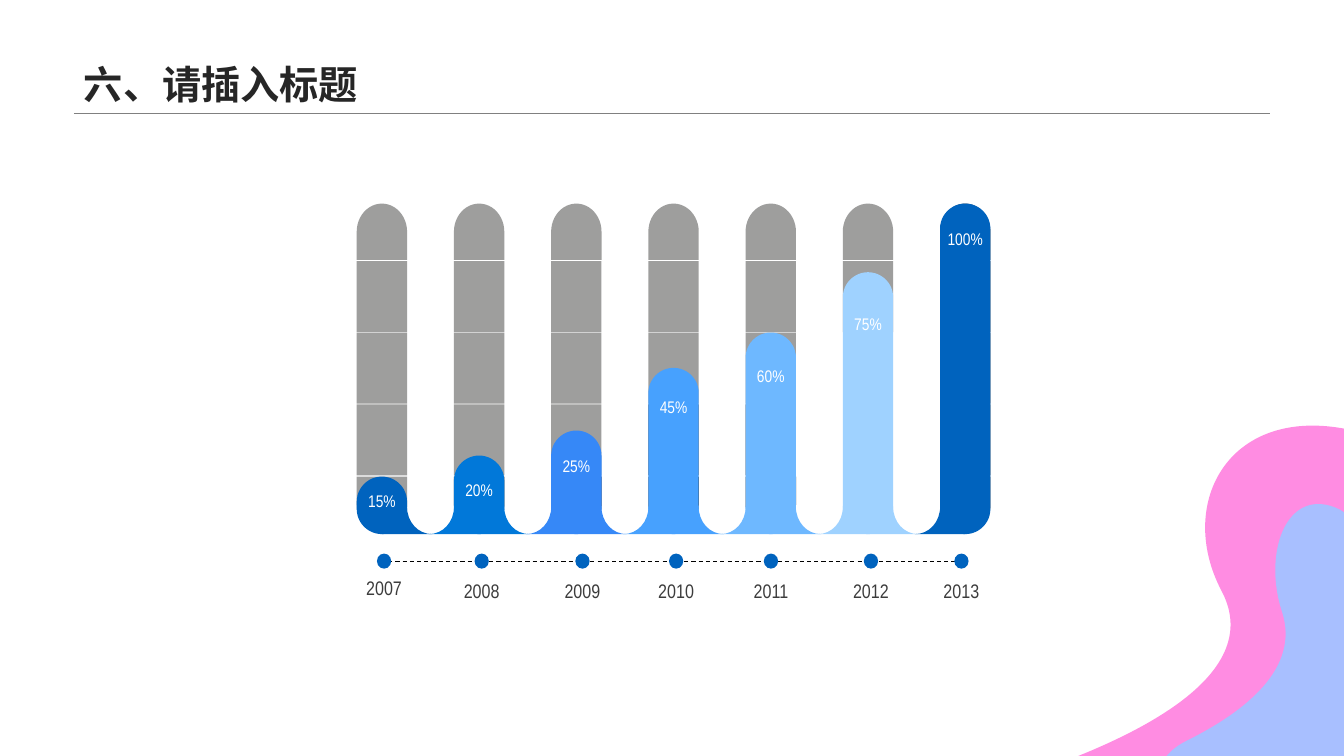
"""Build a slide with a seven-year column graphic over a dotted timeline."""
import lxml.etree
import pptx
import pptx.dml.color
import pptx.enum.dml
import pptx.enum.shapes
import pptx.enum.text
import pptx.oxml.ns
import pptx.util

Cm = pptx.util.Cm
RGBColor = pptx.dml.color.RGBColor
SHAPES = pptx.enum.shapes.MSO_SHAPE
ALIGN = pptx.enum.text.PP_ALIGN
ANCHOR = pptx.enum.text.MSO_ANCHOR
qn = pptx.oxml.ns.qn

WHITE = RGBColor(0xFF, 0xFF, 0xFF)
BLACK = RGBColor(0x00, 0x00, 0x00)
TITLE_INK = RGBColor(0x26, 0x26, 0x26)
YEAR_INK = RGBColor(0x3C, 0x3C, 0x3C)
RULE_GREY = RGBColor(0x80, 0x80, 0x80)
TRACK_GREY = RGBColor(0x3E, 0x3E, 0x3D)
DEEP_BLUE = RGBColor(0x00, 0x63, 0xBE)
BLUE = RGBColor(0x01, 0x78, 0xD9)
ROYAL_BLUE = RGBColor(0x36, 0x88, 0xF7)
BRIGHT_BLUE = RGBColor(0x47, 0xA1, 0xFE)
SKY_BLUE = RGBColor(0x6E, 0xB8, 0xFF)
PALE_BLUE = RGBColor(0x9F, 0xD2, 0xFF)
PINK = RGBColor(0xFF, 0x33, 0xCC)
LAVENDER = RGBColor(0xA8, 0xBF, 0xFF)

FIRST_LEFT, COLUMN_PITCH, COLUMN_WIDTH = 8.99, 2.45, 1.27
TRACK_TOP, BASE = 5.13, 13.46
CAP_LENGTH, LOWER_CAP_TOP = 1.42, 12.01
SEGMENT_TOPS, SEGMENT_HEIGHT = (6.58, 8.38, 10.19), 1.79
FLARE_TOP = 12.75
AXIS_Y = 14.15

YEARS = ["2007", "2008", "2009", "2010", "2011", "2012", "2013"]
YEAR_CENTERS = [9.68, 12.14, 14.68, 17.04, 19.43, 21.95, 24.23]
YEAR_TOPS = [14.4] + [14.46] * 6

# share, colour, bar top, label top, label width, full-length track
COLUMNS = [
    ("15%", DEEP_BLUE, 12.01, 12.24, 1.68, True),
    ("20%", BLUE, 11.48, 11.96, 1.65, True),
    ("25%", ROYAL_BLUE, 10.85, 11.35, 1.83, True),
    ("45%", BRIGHT_BLUE, 9.27, 9.88, 1.65, True),
    ("60%", SKY_BLUE, 8.38, 9.09, 1.88, True),
    ("75%", PALE_BLUE, 6.86, 7.79, 1.65, False),
    ("100%", DEEP_BLUE, 5.13, 5.64, 2.2, True),
]
PINK_WAVE = [
    (22.89, 21.46), (22.89, 20.96), (23.32, 20.29), (24.74, 19.89),
    (28.5, 18.77), (31.95, 17.07), (30.78, 14.88),
    (29.62, 12.67), (30.99, 10.13), (34.11, 10.85),
    (34.98, 11.02), (35.69, 11.56), (36.27, 12.19),
]
LAVENDER_WAVE = [
    (29.18, 19.69), (29.16, 19.35), (29.34, 18.95), (29.9, 18.67),
    (31.39, 17.93), (32.77, 16.84), (32.31, 15.42),
    (31.83, 13.97), (32.39, 12.32), (33.63, 12.78),
    (33.96, 12.9), (34.24, 13.23), (34.49, 13.67),
]


def paint(shape, color, opacity=100):
    shape.shadow.inherit = False
    shape.fill.solid()
    shape.fill.fore_color.rgb = color
    shape.line.fill.background()
    if opacity < 100:
        tint = shape.element.spPr.find(qn("a:solidFill"))[0]
        lxml.etree.SubElement(tint, qn("a:alpha"), val=str(opacity * 1000))


def add_block(slide, kind, left, top, width, height, color, opacity=100):
    block = slide.shapes.add_shape(kind, Cm(left), Cm(top), Cm(width), Cm(height))
    paint(block, color, opacity)
    return block


def add_curved_outline(slide, knots, corners, color, opacity=100):
    points = [(Cm(x), Cm(y)) for x, y in knots + corners]
    builder = slide.shapes.build_freeform(*points[0])
    builder.add_line_segments(points[1:], close=True)
    outline = builder.convert_to_shape()
    strokes = list(outline.element.spPr.iter(qn("a:lnTo")))
    for first in range(0, len(knots) - 1, 3):
        curve = strokes[first]
        curve.tag = qn("a:cubicBezTo")
        for stroke in strokes[first + 1:first + 3]:
            curve.append(stroke[0])
            stroke.getparent().remove(stroke)
    paint(outline, color, opacity)


def add_line(slide, start, end, color, weight, dash=None):
    line = slide.shapes.add_connector(
        pptx.enum.shapes.MSO_CONNECTOR.STRAIGHT, *map(Cm, start + end))
    line.line.color.rgb = color
    line.line.width = pptx.util.Pt(weight)
    if dash:
        line.line.dash_style = dash
    lxml.etree.SubElement(line.element.spPr, qn("a:effectLst"))


def write(frame, text, size, color, font="Arial Narrow", bold=False,
          align=ALIGN.CENTER, anchor=ANCHOR.TOP, spacing=None):
    frame.word_wrap = True
    frame.vertical_anchor = anchor
    paragraph = frame.paragraphs[0]
    paragraph.alignment = align
    paragraph.line_spacing = spacing
    run = paragraph.add_run()
    run.text = text
    run.font.size = pptx.util.Pt(size)
    run.font.name = font
    run.font.bold = bold
    run.font.color.rgb = color


def add_caption(slide, text, center, top, width, height, **style):
    caption = slide.shapes.add_textbox(
        Cm(center - width / 2), Cm(top), Cm(width), Cm(height))
    caption.text_frame.auto_size = pptx.enum.text.MSO_AUTO_SIZE.SHAPE_TO_FIT_TEXT
    write(caption.text_frame, text, **style)


def add_wave(slide, knots, color, opacity=100):
    add_curved_outline(slide, knots, [(knots[-1][0], knots[0][1])], color, opacity)


def add_flare(slide, center, side, color):
    near, bend, far = (center + side * reach for reach in (0.63, 0.91, 1.27))
    knots = [(near, FLARE_TOP), (near, 13.16), (bend, BASE), (far, BASE)]
    add_curved_outline(slide, knots, [(center, BASE), (center, FLARE_TOP)], color)


def add_track_cap(slide, center, top, rotation, opacity):
    cap = add_block(slide, SHAPES.FLOWCHART_DELAY, center - CAP_LENGTH / 2,
                    top + (CAP_LENGTH - COLUMN_WIDTH) / 2,
                    CAP_LENGTH, COLUMN_WIDTH, TRACK_GREY, opacity)
    cap.rotation = rotation


def add_track(slide, left, bar_top, full_length):
    center = left + COLUMN_WIDTH / 2
    add_track_cap(slide, center, TRACK_TOP, 270, 50 if TRACK_TOP < bar_top else 100)
    for top in SEGMENT_TOPS if full_length else SEGMENT_TOPS[:1]:
        add_block(slide, SHAPES.RECTANGLE, left, top, COLUMN_WIDTH, SEGMENT_HEIGHT,
                  TRACK_GREY, 50 if top <= bar_top else 100)
    if full_length:
        add_track_cap(slide, center, LOWER_CAP_TOP, 90,
                      50 if LOWER_CAP_TOP <= bar_top else 100)


def add_column(slide, index, share, color, bar_top, label_top, label_width, full_length):
    left = FIRST_LEFT + index * COLUMN_PITCH
    center = left + COLUMN_WIDTH / 2
    add_track(slide, left, bar_top, full_length)
    if index < len(COLUMNS) - 1:
        add_flare(slide, center, 1, color)
    if index > 0:
        add_flare(slide, center, -1, color)
    bar = add_block(slide, SHAPES.ROUNDED_RECTANGLE, left, bar_top,
                    COLUMN_WIDTH, BASE - bar_top, color)
    bar.adjustments[0] = 0.5
    add_caption(slide, share, center, label_top, label_width, 0.76, size=12, color=WHITE)


def add_title(slide, text):
    title = slide.shapes.title
    title.left, title.top, title.width, title.height = map(Cm, (1.86, 0, 30.14, 2.84))
    write(title.text_frame, text, size=28, color=TITLE_INK, font="Arial", bold=True,
          align=ALIGN.LEFT, anchor=ANCHOR.BOTTOM, spacing=0.9)
    add_line(slide, (1.86, 2.84), (32, 2.84), RULE_GREY, 0.25)


def main():
    deck = pptx.Presentation()
    deck.slide_width, deck.slide_height = Cm(33.87), Cm(19.05)
    slide = deck.slides.add_slide(deck.slide_layouts[5])
    add_title(slide, "六、请插入标题")
    for index, column in enumerate(COLUMNS):
        add_column(slide, index, *column)
    add_line(slide, (9.6, AXIS_Y), (24.31, AXIS_Y), BLACK, 0.75,
             pptx.enum.dml.MSO_LINE.DASH)
    for year, center, top in zip(YEARS, YEAR_CENTERS, YEAR_TOPS):
        add_block(slide, SHAPES.OVAL, center - 0.18, AXIS_Y - 0.2, 0.36, 0.38, DEEP_BLUE)
        add_caption(slide, year, center, top, 2.13, 0.86, size=14, color=YEAR_INK)
    add_wave(slide, PINK_WAVE, PINK, 56)
    add_wave(slide, LAVENDER_WAVE, LAVENDER)
    deck.save("out.pptx")


if __name__ == "__main__":
    main()
